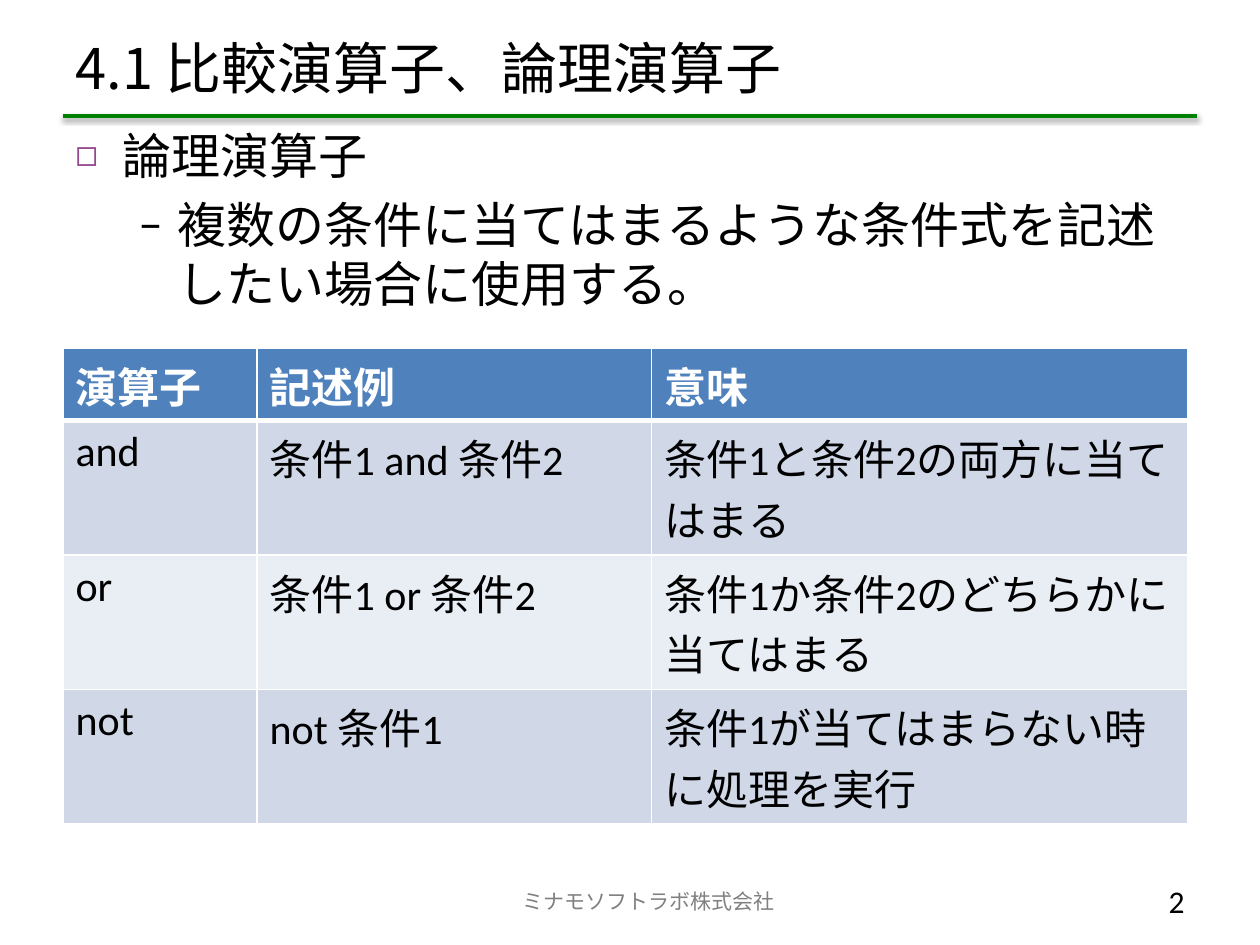
import pptx
import pptx.dml.color
import pptx.enum.shapes
import pptx.enum.text
import pptx.oxml
import pptx.oxml.ns
import pptx.util
from dataclasses import dataclass

Pt = pptx.util.Pt
ALIGN = pptx.enum.text.PP_ALIGN
ANCHOR = pptx.enum.text.MSO_ANCHOR


@dataclass(frozen=True)
class Theme:
    """Colours, fonts and type sizes of the deck."""
    ink: str = "000000"
    paper: str = "FFFFFF"
    rule: str = "008000"
    bullet: str = "95488D"
    muted: str = "808080"
    header: str = "4F81BD"
    bands: tuple = ("D0D8E8", "E9EDF4")
    latin: str = "Calibri"
    asian: str = "Noto Sans CJK JP"
    title_size: int = 32
    body_size: int = 28
    table_size: int = 24
    number_size: int = 18
    footer_size: int = 12


THEME = Theme()


def colour(value):
    """Turn a hex string into a colour."""
    return pptx.dml.color.RGBColor.from_string(value)


def apply(target, values):
    """Set attributes of an object from a dict."""
    for name, value in values.items():
        setattr(target, name, value)


def element(tag, inner="", **attributes):
    """Make a DrawingML element."""
    listed = "".join(f' {name}="{value}"' for name, value in attributes.items())
    space = pptx.oxml.ns.nsdecls("a")
    return pptx.oxml.parse_xml(f"<a:{tag} {space}{listed}>{inner}</a:{tag}>")


def write(para, text, size, ink=THEME.ink, latin=THEME.latin, bold=False):
    """Add one formatted span to a paragraph."""
    span = para.add_run()
    span.text = text
    apply(span.font, {"size": Pt(size), "name": latin, "bold": bold})
    span.font.color.rgb = colour(ink)
    span.font._element.find(pptx.oxml.ns.qn("a:latin")).addnext(
        element("ea", typeface=THEME.asian))


def add_box(page, box, **frame_values):
    """Add a wrapping text box and return its frame."""
    frame = page.shapes.add_textbox(*map(Pt, box)).text_frame
    apply(frame, {"word_wrap": True, **frame_values})
    return frame


def add_heading(page, box, text):
    """Place the title and the shadowed rule below it."""
    left, top, width, height = box
    frame = add_box(page, box, vertical_anchor=ANCHOR.MIDDLE)
    write(frame.paragraphs[0], text, THEME.title_size, latin=THEME.asian)
    level = top + height + 3.8
    rule = page.shapes.add_connector(
        pptx.enum.shapes.MSO_CONNECTOR.STRAIGHT,
        Pt(left), Pt(level), Pt(left + width), Pt(level))
    rule.line.color.rgb = colour(THEME.rule)
    rule.line.width = Pt(2)
    shadow = (f'<a:outerShdw blurRad="{Pt(3.1)}" dist="{Pt(1.6)}" dir="5400000" '
              'rotWithShape="0"><a:srgbClr val="000000"><a:alpha val="38000"/>'
              '</a:srgbClr></a:outerShdw>')
    rule._element.spPr.append(element("effectLst", shadow))


def add_bullets(page, box, items):
    """Place bulleted paragraphs given as level and text."""
    styles = (("◻", THEME.bullet, 75, 27, -27),
              ("–", THEME.ink, 100, 58.5, -22.5))
    frame = add_box(page, box)
    for index, (level, text) in enumerate(items):
        para = frame.add_paragraph() if index else frame.paragraphs[0]
        mark, ink, percent, margin, indent = styles[level]
        apply(para, {"level": level, "space_before": Pt(5.6)})
        properties = para._p.get_or_add_pPr()
        properties.set("marL", str(Pt(margin)))
        properties.set("indent", str(Pt(indent)))
        properties.append(element("buClr", f'<a:srgbClr val="{ink}"/>'))
        properties.append(element("buSzPct", val=percent * 1000))
        properties.append(element("buFont", typeface=THEME.latin))
        properties.append(element("buChar", char=mark))
        write(para, text, THEME.body_size, latin=THEME.asian)


def format_cell(cell, text, fill, ink, bold, top, bottom):
    """Write one cell and give it a fill and white borders."""
    write(cell.text_frame.paragraphs[0], text, THEME.table_size, ink, bold=bold)
    properties = cell._tc.get_or_add_tcPr()
    paint = f'<a:solidFill><a:srgbClr val="{THEME.paper}"/></a:solidFill>'
    for side, width in (("L", 1), ("R", 1), ("T", top), ("B", bottom)):
        properties.append(element(f"ln{side}", paint, w=Pt(width)))
    cell.fill.solid()
    cell.fill.fore_color.rgb = colour(fill)


def add_operator_table(page, box, widths, rows):
    """Place a table with a header row and banded rows."""
    left, top, width, height = box
    header_height = 41.4
    row_height = (height - header_height) / (len(rows) - 1)
    table = page.shapes.add_table(len(rows), len(widths), *map(Pt, box)).table
    for column, column_width in zip(table.columns, widths):
        column.width = Pt(column_width)
    for index, texts in enumerate(rows):
        head = index == 0
        table.rows[index].height = Pt(header_height if head else row_height)
        look = {
            "fill": THEME.header if head else THEME.bands[(index - 1) % 2],
            "ink": THEME.paper if head else THEME.ink,
            "bold": head,
            "top": 3 if index == 1 else 1,
            "bottom": 3 if head else 1,
        }
        for column, text in enumerate(texts):
            format_cell(table.cell(index, column), text, **look)


def add_footer(page, box, company, number):
    """Place the company name and the page number."""
    left, top, width, height = box
    number_width = 116
    parts = (
        ((left + width - number_width, top, number_width, height), number,
         THEME.number_size, THEME.ink, ALIGN.RIGHT, 7.2),
        ((left, top, 513.4, height), company,
         THEME.footer_size, THEME.muted, ALIGN.CENTER, 163),
    )
    for place, text, size, ink, alignment, inset in parts:
        frame = add_box(page, place, vertical_anchor=ANCHOR.MIDDLE,
                        margin_left=Pt(inset))
        para = frame.paragraphs[0]
        para.alignment = alignment
        write(para, text, size, ink)


def build():
    """Build the deck and save it."""
    deck = pptx.Presentation()
    apply(deck, {"slide_width": Pt(720), "slide_height": Pt(540)})
    page = deck.slides.add_slide(deck.slide_layouts[6])
    add_heading(page, (36, 14.4, 648, 48), "4.1 比較演算子、論理演算子")
    add_bullets(page, (36, 68.4, 648, 387.4), (
        (0, "論理演算子"),
        (1, "複数の条件に当てはまるような条件式を記述したい場合に使用する。"),
    ))
    add_operator_table(page, (36, 199, 643, 271.8), (110.9, 225.4, 306.7), (
        ("演算子", "記述例", "意味"),
        ("and", "条件1 and 条件2", "条件1と条件2の両方に当てはまる"),
        ("or", "条件1 or 条件2", "条件1か条件2のどちらかに当てはまる"),
        ("not", "not 条件1", "条件1が当てはまらない時に処理を実行"),
    ))
    add_footer(page, (36, 500.4, 648, 28.8), "ミナモソフトラボ株式会社", "2")
    deck.save("out.pptx")


build()
